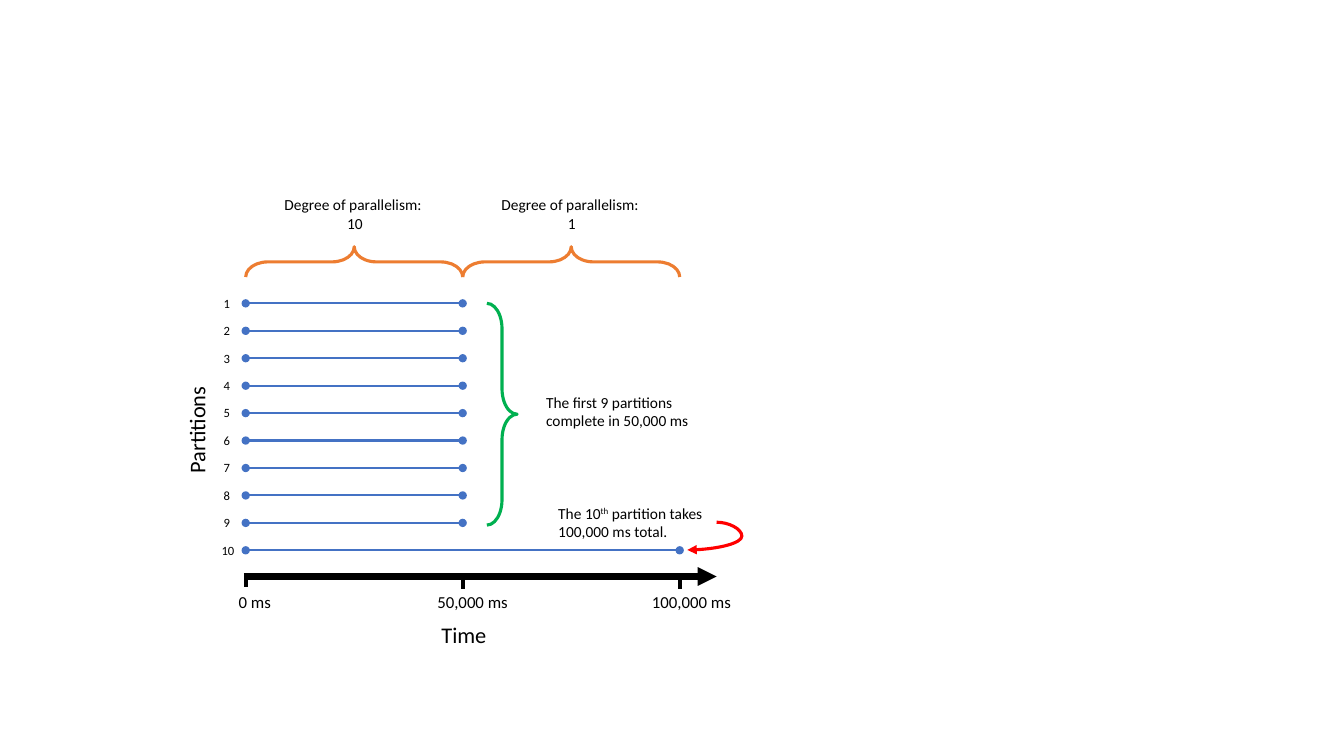
from lxml.etree import SubElement
from pptx import Presentation
from pptx.dml.color import RGBColor
from pptx.enum.shapes import MSO_CONNECTOR, MSO_SHAPE
from pptx.enum.text import MSO_AUTO_SIZE, PP_ALIGN
from pptx.oxml.ns import qn
from pptx.util import Pt

BLACK, BLUE, ORANGE, GREEN, RED = "000000", "4472C4", "ED7D31", "00B050", "FF0000"
START, HALF = 175.5, 155
FIRST_ROW, ROW_PITCH = 216.7, 19.6
AXIS_Y = 411.8


def color(hex_value):
    return RGBColor.from_string(hex_value)


def apply_format(target, values):
    for name, value in values.items():
        setattr(target, name, value)


def set_outline(shape, hex_value, width):
    shape.line.color.rgb = color(hex_value)
    shape.line.width = Pt(width)


def add_line(slide, start, end, hex_value, width, head=None, tail=None, kind=MSO_CONNECTOR.STRAIGHT):
    points = [Pt(value) for value in (*start, *end)]
    connector = slide.shapes.add_connector(kind, *points)
    set_outline(connector, hex_value, width)
    properties = connector._element.spPr
    outline = properties.find(qn("a:ln"))
    for tag, arrow in (("a:headEnd", head), ("a:tailEnd", tail)):
        if arrow:
            SubElement(outline, qn(tag), type=arrow)
    SubElement(properties, qn("a:effectLst"))
    return connector


def add_brace(slide, kind, box, hex_value, curl, rotation=0):
    brace = slide.shapes.add_shape(kind, *[Pt(value) for value in box])
    brace.shadow.inherit = False
    brace.fill.background()
    set_outline(brace, hex_value, 2.25)
    brace.adjustments[0] = curl
    brace.rotation = rotation


def add_label(slide, box, lines, size, wrap=False, align=PP_ALIGN.LEFT, rotation=0):
    label = slide.shapes.add_textbox(*[Pt(value) for value in box])
    label.rotation = rotation
    frame = label.text_frame
    apply_format(frame, {"word_wrap": wrap, "auto_size": MSO_AUTO_SIZE.SHAPE_TO_FIT_TEXT})
    for index, pieces in enumerate(lines):
        paragraph = frame.add_paragraph() if index else frame.paragraphs[0]
        paragraph.alignment = align
        for position, piece in enumerate(pieces):
            run = paragraph.add_run()
            run.text = piece
            apply_format(run.font, {"name": "Calibri", "size": Pt(size)})
            run.font.color.rgb = color(BLACK)
            if position % 2:
                run.font._element.set("baseline", "30000")


def add_time_axis(slide):
    add_line(slide, (174.2, AXIS_Y), (511.9, AXIS_Y), BLACK, 4.5, tail="triangle")
    add_label(slide, (308.2, 439.9, 46.8, 26.6), [["Time"]], 16)
    ticks = [("0 ms", 163.4, 38.2, 0), ("50,000 ms", 305.3, 65.5, 1.4), ("100,000 ms", 458.6, 72, 1.4)]
    for index, (text, left, width, drop) in enumerate(ticks):
        x = START + index * HALF
        add_label(slide, (left, 419.2, width, 21.6), [[text]], 12)
        add_line(slide, (x, AXIS_Y + drop + 7.2), (x, AXIS_Y + drop), BLACK, 3)


def add_partitions(slide):
    add_label(slide, (101.5, 293, 77.8, 26.6), [["Partitions"]], 16, rotation=270)
    for number in range(1, 11):
        y = FIRST_ROW + (number - 1) * ROW_PITCH
        is_last = number == 10
        end = START + HALF * (2 if is_last else 1)
        add_line(slide, (START, y), (end, y), BLUE, 1.5, head="oval", tail="oval")
        left, width = (151.2, 31) if is_last else (152.6, 19.4)
        add_label(slide, (left, y - 9.1, width, 18), [[str(number)]], 9, wrap=True)


def add_parallelism(slide):
    for index, degree in enumerate(("10", "1")):
        shift = index * HALF
        add_brace(slide, MSO_SHAPE.LEFT_BRACE, (242.2 + shift, 109.6, 21.6, HALF), ORANGE, 0.732, 90)
        add_label(slide, (195.5 + shift, 136.1, 115.9, 33.8),
                  [["Degree of parallelism: "], [degree]], 11, align=PP_ALIGN.CENTER)


def add_remarks(slide):
    add_brace(slide, MSO_SHAPE.RIGHT_BRACE, (347.8, FIRST_ROW, 21.6, 158.4), GREEN, 0.839)
    add_label(slide, (383, 277.2, 117.4, 33.8),
              [["The first 9 partitions"], ["complete in 50,000 ms"]], 11)
    add_label(slide, (391.7, 356.4, 119.5, 33.8),
              [["The 10", "th", " partition takes"], ["100,000 ms total."]], 11, wrap=True)
    pointer = add_line(slide, (511.9, 373), (491, 392.8), RED, 2.25,
                       tail="triangle", kind=MSO_CONNECTOR.CURVE)
    bend = pointer._element.spPr.find(qn("a:prstGeom")).find(qn("a:avLst"))
    SubElement(bend, qn("a:gd"), name="adj1", fmla="val -86500")


def main():
    presentation = Presentation()
    apply_format(presentation, {"slide_width": Pt(960), "slide_height": Pt(540)})
    slide = presentation.slides.add_slide(presentation.slide_layouts[6])
    add_time_axis(slide)
    add_partitions(slide)
    add_parallelism(slide)
    add_remarks(slide)
    presentation.save("out.pptx")


if __name__ == "__main__":
    main()
